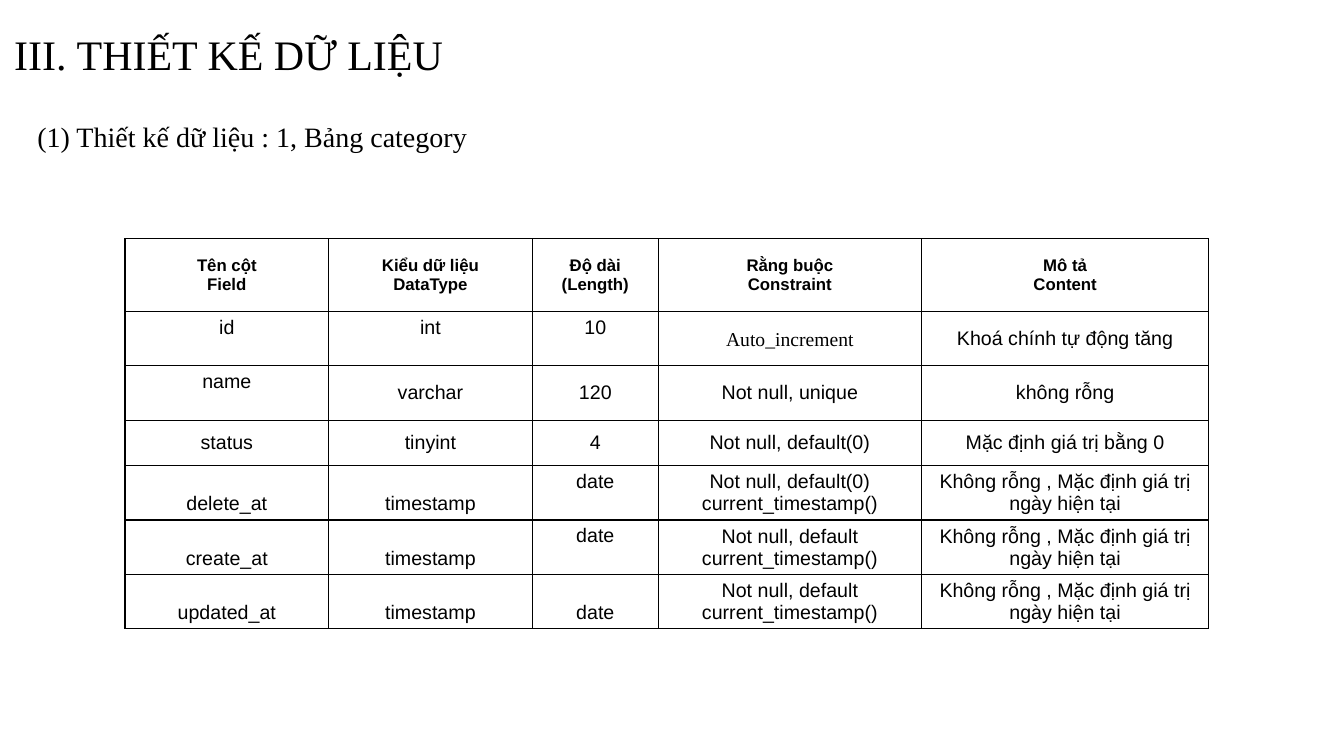
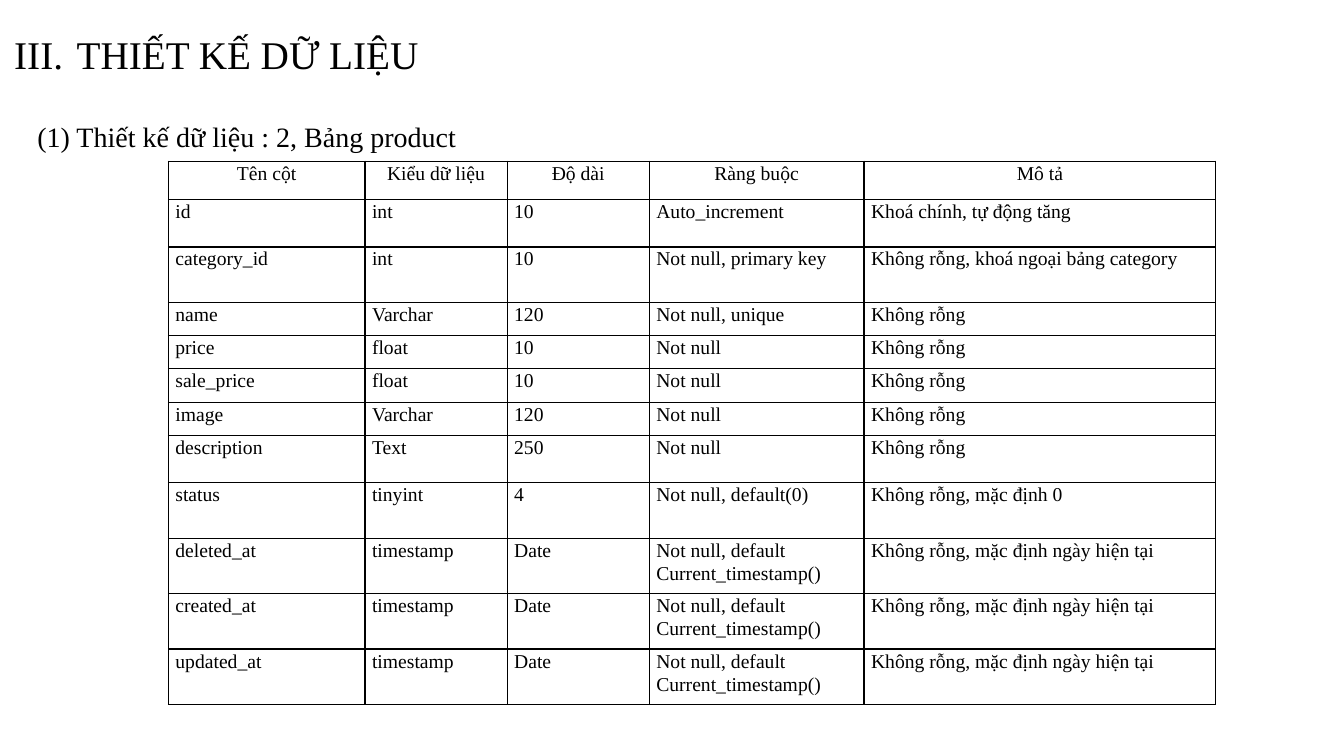
from dataclasses import dataclass, field

from lxml.etree import SubElement
from pptx import Presentation
from pptx.dml.color import RGBColor
from pptx.enum.text import MSO_ANCHOR, MSO_AUTO_SIZE, PP_ALIGN
from pptx.oxml import parse_xml
from pptx.oxml.ns import nsdecls, qn
from pptx.util import Inches, Pt


@dataclass(frozen=True)
class Theme:
    ink: str = "000000"
    paper: str = "FFFFFF"
    serif: str = "Times New Roman"
    sans: str = "Arial"
    subtitle_size: int = 20
    header_size: int = 12
    cell_size: int = 14
    border_width: int = 1
    title_spacing: float = 0.9
    body_spacing: float = 1.5
    table_spacing: float = 1.07


THEME = Theme()
TITLE_BOX = (0.04, 0, 11.5, 1.12)
BODY_BOX = (0.08, 0.92, 13.07, 5.94)
TITLE = "THIẾT KẾ DỮ LIỆU"


@dataclass(frozen=True)
class CellStyle:
    font: str
    size: int = THEME.cell_size
    bold: bool = False
    align: PP_ALIGN = PP_ALIGN.CENTER
    anchor: MSO_ANCHOR = MSO_ANCHOR.MIDDLE
    spacing: float = 1.0
    inset: float = 0.05


@dataclass(frozen=True)
class TableDesign:
    box: tuple
    columns: tuple
    heights: tuple
    rows: tuple
    header: CellStyle
    body: CellStyle
    exceptions: dict = field(default_factory=dict)


SANS = CellStyle(THEME.sans)
SANS_TOP = CellStyle(THEME.sans, anchor=MSO_ANCHOR.TOP)
SANS_BOTTOM = CellStyle(THEME.sans, anchor=MSO_ANCHOR.BOTTOM)
SANS_HEADER = CellStyle(THEME.sans, THEME.header_size, bold=True)
SERIF_CENTER = CellStyle(THEME.serif, spacing=THEME.table_spacing)
SERIF_HEADER = CellStyle(
    THEME.serif, anchor=MSO_ANCHOR.TOP, spacing=THEME.table_spacing, inset=0
)
SERIF_LEFT = CellStyle(
    THEME.serif, align=PP_ALIGN.LEFT, anchor=MSO_ANCHOR.TOP,
    spacing=THEME.table_spacing, inset=0,
)

NOW_DEFAULT = "Not null, default\ncurrent_timestamp()"
NOW_NOTE = "Không rỗng , Mặc định giá trị ngày hiện tại"
CATEGORY = TableDesign(
    box=(1.24, 2.37),
    columns=(2.02, 2.02, 1.25, 2.61, 2.85),
    heights=(0.72, 0.54, 0.54, 0.45, 0.54, 0.54, 0.54),
    rows=(
        ("Tên cột\nField", "Kiểu dữ liệu\nDataType", "Độ dài (Length)",
         "Rằng buộc\nConstraint", "Mô tả\nContent"),
        ("id", "int", "10", "Auto_increment", "Khoá chính tự động tăng"),
        ("name", "varchar", "120", "Not null, unique", "không rỗng"),
        ("status", "tinyint", "4", "Not null, default(0)", "Mặc định giá trị bằng 0"),
        ("delete_at", "timestamp", "date",
         "Not null, default(0)\ncurrent_timestamp()", NOW_NOTE),
        ("create_at", "timestamp", "date", NOW_DEFAULT, NOW_NOTE),
        ("updated_at", "timestamp", "date", NOW_DEFAULT, NOW_NOTE),
    ),
    header=SANS_HEADER,
    body=SANS,
    exceptions={
        (1, 3): SERIF_CENTER,
        **dict.fromkeys([(1, 0), (1, 1), (1, 2), (2, 0), (4, 2), (5, 2)], SANS_TOP),
        **dict.fromkeys(
            [(row, column) for row in (4, 5, 6) for column in (0, 1)] + [(6, 2)],
            SANS_BOTTOM,
        ),
    },
)

DATE_FIELD = (
    "timestamp", "Date", "Not null, default Current_timestamp()",
    "Không rỗng, mặc định ngày hiện tại",
)
PRODUCT = TableDesign(
    box=(1.67, 1.6),
    columns=(1.95, 1.41, 1.41, 2.13, 3.49),
    heights=(0.38, 0.47, 0.55, 0.33, 0.33, 0.33, 0.33, 0.47, 0.55, 0.55, 0.55, 0.55),
    rows=(
        ("Tên cột", "Kiểu dữ liệu", "Độ dài", "Ràng buộc", "Mô tả"),
        ("id", "int", "10", "Auto_increment", "Khoá chính, tự động tăng"),
        ("category_id", "int", "10", "Not null, primary key",
         "Không rỗng, khoá ngoại bảng category"),
        ("name", "Varchar", "120", "Not null, unique", "Không rỗng"),
        ("price", "float", "10", "Not null", "Không rỗng"),
        ("sale_price", "float", "10", "Not null", "Không rỗng"),
        ("image", "Varchar", "120", "Not null", "Không rỗng"),
        ("description", "Text", "250", "Not null", "Không rỗng"),
        ("status", "tinyint", "4", "Not null, default(0)", "Không rỗng, mặc định 0"),
        ("deleted_at", *DATE_FIELD),
        ("created_at", *DATE_FIELD),
        ("updated_at", *DATE_FIELD),
    ),
    header=SERIF_HEADER,
    body=SERIF_LEFT,
)


def add_run(paragraph, text, font, size, bold=False):
    run = paragraph.add_run()
    run.text = text
    run.font.name = font
    run.font.size = Pt(size)
    run.font.bold = bold
    run.font.color.rgb = RGBColor.from_string(THEME.ink)


def fill_placeholder(shape, box, text, size, spacing, anchor):
    shape.left, shape.top, shape.width, shape.height = map(Inches, box)
    frame = shape.text_frame
    frame.word_wrap = True
    frame.auto_size = MSO_AUTO_SIZE.NONE
    frame.vertical_anchor = anchor
    frame.margin_left = frame.margin_right = Inches(0.1)
    frame.margin_top = frame.margin_bottom = Inches(0.1)
    paragraph = frame.paragraphs[0]
    paragraph.alignment = PP_ALIGN.LEFT
    paragraph.line_spacing = spacing
    paragraph.space_before = Pt(0)
    add_run(paragraph, text, THEME.serif, size)
    return paragraph._p.get_or_add_pPr()


def set_indent(properties, left, hanging):
    properties.set("marL", str(Inches(left)))
    properties.set("indent", str(-Inches(hanging)))


def add_title(shape, box, size):
    properties = fill_placeholder(
        shape, box, TITLE, size, THEME.title_spacing, MSO_ANCHOR.MIDDLE
    )
    set_indent(properties, 0.62, 0.62)
    color = SubElement(properties, qn("a:buClr"))
    SubElement(color, qn("a:srgbClr"), val=THEME.ink)
    SubElement(properties, qn("a:buFontTx"))
    SubElement(properties, qn("a:buAutoNum"), type="romanUcPeriod", startAt="3")


def add_subtitle(shape, box, text):
    properties = fill_placeholder(
        shape, box, text, THEME.subtitle_size, THEME.body_spacing, MSO_ANCHOR.TOP
    )
    set_indent(properties, 0.19, 0)
    SubElement(properties, qn("a:buNone"))


def add_borders(cell):
    properties = cell._tc.get_or_add_tcPr()
    for position, side in enumerate(("lnL", "lnR", "lnT", "lnB")):
        properties.insert(position, parse_xml(
            f'<a:{side} {nsdecls("a")} w="{Pt(THEME.border_width)}">'
            f'<a:solidFill><a:srgbClr val="{THEME.ink}"/></a:solidFill></a:{side}>'
        ))


def fill_cell(cell, text, style):
    cell.fill.background()
    add_borders(cell)
    cell.vertical_anchor = style.anchor
    cell.margin_left = cell.margin_right = Inches(0.07)
    cell.margin_top = cell.margin_bottom = Inches(style.inset)
    frame = cell.text_frame
    for index, line in enumerate(text.split("\n")):
        paragraph = frame.add_paragraph() if index else frame.paragraphs[0]
        paragraph.alignment = style.align
        paragraph.line_spacing = style.spacing
        add_run(paragraph, line, style.font, style.size, style.bold)


def add_field_table(slide, design):
    left, top = design.box
    table = slide.shapes.add_table(
        len(design.rows), len(design.columns), Inches(left), Inches(top),
        Inches(sum(design.columns)), Inches(sum(design.heights)),
    ).table
    table.first_row = table.horz_banding = False
    for column, width in zip(table.columns, design.columns):
        column.width = Inches(width)
    for row, height in zip(table.rows, design.heights):
        row.height = Inches(height)
    for row_index, texts in enumerate(design.rows):
        usual = design.body if row_index else design.header
        for column_index, text in enumerate(texts):
            style = design.exceptions.get((row_index, column_index), usual)
            fill_cell(table.cell(row_index, column_index), text, style)


def add_table_slide(presentation, title_size, subtitle, design):
    slide = presentation.slides.add_slide(presentation.slide_layouts[1])
    add_title(slide.shapes.title, TITLE_BOX, title_size)
    add_subtitle(slide.placeholders[1], BODY_BOX, subtitle)
    add_field_table(slide, design)


def main():
    presentation = Presentation()
    presentation.slide_width = Inches(13.33)
    presentation.slide_height = Inches(7.5)
    background = presentation.slide_master.background.fill
    background.solid()
    background.fore_color.rgb = RGBColor.from_string(THEME.paper)
    add_table_slide(presentation, 30, "(1) Thiết kế dữ liệu : 1, Bảng category", CATEGORY)
    add_table_slide(presentation, 28, "(1) Thiết kế dữ liệu : 2, Bảng product", PRODUCT)
    presentation.save("out.pptx")


if __name__ == "__main__":
    main()
